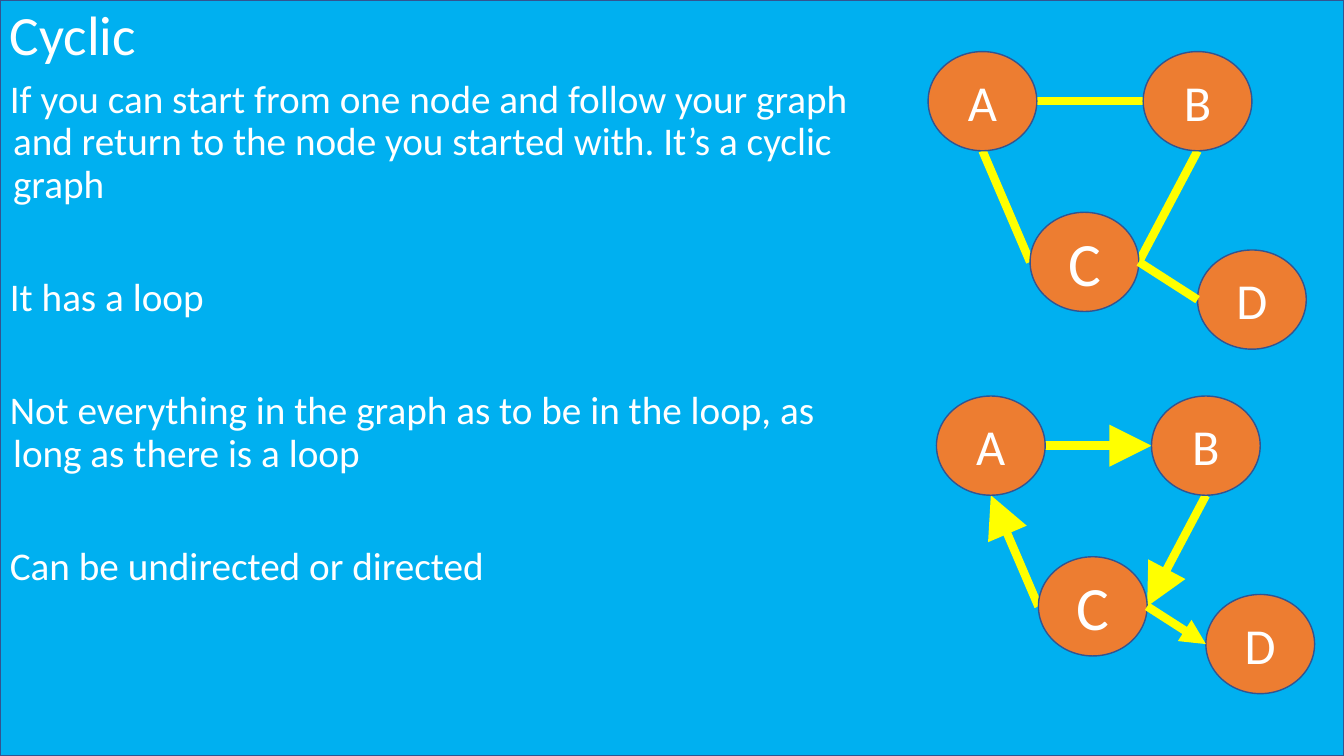
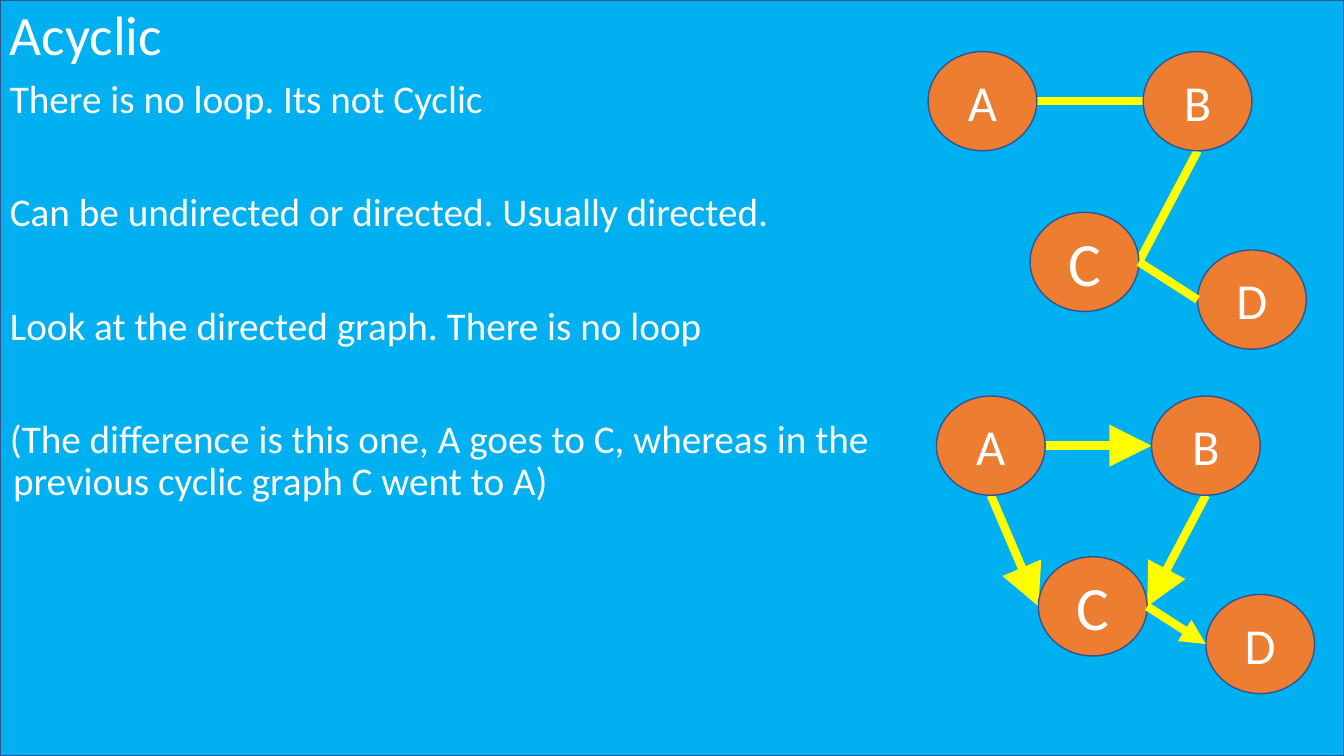
from lxml.etree import SubElement
from pptx import Presentation
from pptx.dml.color import RGBColor
from pptx.enum.shapes import MSO_CONNECTOR, MSO_SHAPE
from pptx.enum.text import MSO_ANCHOR, PP_ALIGN
from pptx.oxml.ns import qn
from pptx.util import Cm, Pt

COLOURS = {"sky": "00B0F0", "outline": "325491", "node": "ED7D31",
           "edge": "FFFF00", "text": "FFFFFF"}
FONT = "Calibri"
SLIDE_W, SLIDE_H = 33.87, 19.05
TITLE_H = 1.88
BODY_W = 22.66

# Graph geometry in cm: node offsets inside the graph, and node size
NODE_W, NODE_H = 2.74, 2.5
NODES = {"A": (0, 0), "B": (5.42, 0), "C": (2.57, 4.05), "D": (6.79, 5)}
PORTS = {"right": (1, 0.5), "left": (0, 0.5), "bottom": (0.5, 1)}
EDGE_PORTS = {"AB": ("right", "left"), "AC": ("bottom", "left"),
              "CA": ("left", "bottom"), "BC": ("bottom", "right"),
              "CD": ("right", "left")}
UNDIRECTED_AT = (23.39, 1.3)
DIRECTED_AT = (23.6, 9.98)


def colour(name):
    return RGBColor.from_string(COLOURS[name])


def write(frame, paragraphs, size, align=PP_ALIGN.LEFT, anchor=MSO_ANCHOR.TOP,
          line_spacing=None, first_gap=0, gap=0, hanging=0):
    frame.word_wrap = True
    frame.vertical_anchor = anchor
    for index, words in enumerate(paragraphs):
        paragraph = frame.add_paragraph() if index else frame.paragraphs[0]
        paragraph.alignment = align
        paragraph.space_before = Pt(gap if index else first_gap)
        if line_spacing:
            paragraph.line_spacing = line_spacing
        if hanging:
            properties = paragraph._p.get_or_add_pPr()
            properties.set("marL", str(Cm(hanging)))
            properties.set("indent", str(-Cm(hanging)))
        run = paragraph.add_run()
        run.text = words
        run.font.name = FONT
        run.font.size = Pt(size)
        run.font.color.rgb = colour("text")


def add_filled(slide, preset, left, top, width, height, fill):
    shape = slide.shapes.add_shape(preset, Cm(left), Cm(top), Cm(width), Cm(height))
    shape.shadow.inherit = False
    shape.fill.solid()
    shape.fill.fore_color.rgb = colour(fill)
    shape.line.color.rgb = colour("outline")
    shape.line.width = Pt(1)
    return shape


def add_edge(slide, left, top, pair, directed):
    ends = []
    for name, port in zip(pair, EDGE_PORTS[pair]):
        (x, y), (across, down) = NODES[name], PORTS[port]
        ends += [Cm(left + x + across * NODE_W), Cm(top + y + down * NODE_H)]
    edge = slide.shapes.add_connector(MSO_CONNECTOR.STRAIGHT, *ends)
    edge.line.color.rgb = colour("edge")
    edge.line.width = Pt(6)
    if directed:
        head = "med" if pair == "CD" else "lg"
        SubElement(edge.line._get_or_add_ln(), qn("a:tailEnd"),
                   type="triangle", w=head, len=head)
    SubElement(edge._element.spPr, qn("a:effectLst"))


def add_graph(slide, left, top, loop_edges, directed=False):
    for pair in loop_edges:
        add_edge(slide, left, top, pair, directed)
    for name, (x, y) in NODES.items():
        node = add_filled(slide, MSO_SHAPE.OVAL, left + x, top + y,
                          NODE_W, NODE_H, "node")
        write(node.text_frame, [name], 44 if name == "C" else 36,
              align=PP_ALIGN.CENTER, anchor=MSO_ANCHOR.MIDDLE)
    # The branch to D lies over the nodes
    add_edge(slide, left, top, "CD", directed)


def add_text(slide, left, top, width, height, paragraphs, size, **style):
    box = slide.shapes.add_textbox(Cm(left), Cm(top), Cm(width), Cm(height))
    write(box.text_frame, paragraphs, size, line_spacing=0.9, **style)


def add_graph_slide(deck, title, points, undirected, directed):
    slide = deck.slides.add_slide(deck.slide_layouts[6])
    # Backdrop, title and points
    add_filled(slide, MSO_SHAPE.RECTANGLE, 0, 0, SLIDE_W, SLIDE_H, "sky")
    add_text(slide, 0, 0, SLIDE_W, TITLE_H, [title], 39.6,
             anchor=MSO_ANCHOR.MIDDLE)
    add_text(slide, 0, TITLE_H, BODY_W, SLIDE_H - TITLE_H, points, 28,
             first_gap=10, gap=50.7, hanging=0.08)
    # Example graphs
    add_graph(slide, *UNDIRECTED_AT, undirected)
    add_graph(slide, *DIRECTED_AT, directed, directed=True)


deck = Presentation()
deck.slide_width, deck.slide_height = Cm(SLIDE_W), Cm(SLIDE_H)

add_graph_slide(
    deck, "Cyclic",
    ["If you can start from one node and follow your graph and return to "
     "the node you started with. It’s a cyclic graph",
     "It has a loop",
     "Not everything in the graph as to be in the loop, as long as there is a loop",
     "Can be undirected or directed"],
    undirected=["AB", "AC", "BC"], directed=["AB", "CA", "BC"])

add_graph_slide(
    deck, "Acyclic",
    ["There is no loop. Its not Cyclic",
     "Can be undirected or directed. Usually directed.",
     "Look at the directed graph. There is no loop",
     "(The difference is this one, A goes to C, whereas in the previous "
     "cyclic graph C went to A)"],
    undirected=["AB", "BC"], directed=["AB", "AC", "BC"])

deck.save("out.pptx")
